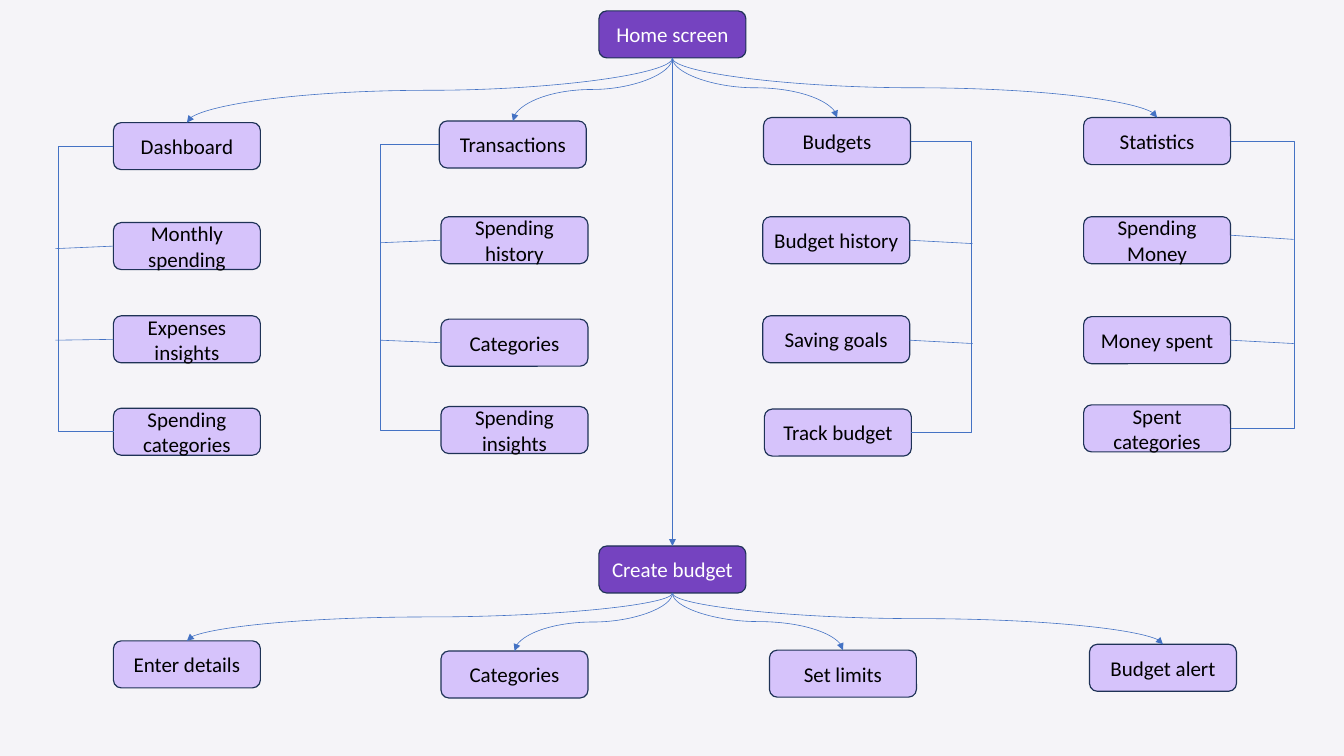
from lxml import etree
from pptx import Presentation, util as u
from pptx.dml.color import RGBColor
from pptx.enum import shapes, text
from pptx.oxml.ns import qn

COLUMNS, ROWS = 1600, 900
CELL = u.Inches(16) // COLUMNS
BOX_W, BOX_H = 175, 56

BACKDROP = RGBColor(0xF5, 0xF4, 0xF8)
PURPLE = RGBColor(0x75, 0x43, 0xC0)
LILAC = RGBColor(0xD6, 0xC3, 0xFB)
NAVY = RGBColor(0x1E, 0x32, 0x56)
BLUE = RGBColor(0x44, 0x72, 0xC4)
BLACK = RGBColor(0, 0, 0)
WHITE = RGBColor(255, 255, 255)

HOME = ("Home screen", 713, 13)
CREATE = ("Create budget", 713, 650)
# fmt: off
SECTIONS = [
    {"rail": 68, "rung_end": 66, "rungs": [(293, 296), (404, 405)],
     "boxes": [("Dashboard", 135, 146), ("Monthly spending", 135, 265),
               ("Expenses insights", 135, 376), ("Spending categories", 135, 486)]},
    {"rail": 452, "rung_end": 453, "rungs": [(286, 289), (408, 405)],
     "boxes": [("Transactions", 523, 144), ("Spending history", 525, 258),
               ("Categories", 525, 380), ("Spending insights", 525, 484)]},
    {"rail": 1158, "rung_end": 1158, "rungs": [(286, 290), (405, 409)],
     "boxes": [("Budgets", 909, 140), ("Budget history", 908, 258),
               ("Saving goals", 908, 376), ("Track budget", 910, 487)]},
    {"rail": 1542, "rung_end": 1540, "rungs": [(280, 285), (405, 409)],
     "boxes": [("Statistics", 1290, 140), ("Spending Money", 1290, 258),
               ("Money spent", 1290, 377), ("Spent categories", 1290, 482)]},
]
BUDGET_STEPS = [("Enter details", 135, 763), ("Categories", 525, 775),
                ("Set limits", 916, 774), ("Budget alert", 1297, 767)]


def add_box(slide, box, fill, ink):
    """Draw one rounded, labelled screen box."""
    label, left, top = box
    screen = slide.shapes.add_shape(shapes.MSO_SHAPE.ROUNDED_RECTANGLE,
                                    *(n * CELL for n in (left, top, BOX_W, BOX_H)))
    screen.shadow.inherit = False
    screen.fill.solid()
    screen.fill.fore_color.rgb = fill
    screen.line.color.rgb = NAVY
    screen.line.width = u.Pt(1)
    frame = screen.text_frame
    frame.word_wrap = True
    frame.vertical_anchor = text.MSO_ANCHOR.MIDDLE
    paragraph = frame.paragraphs[0]
    paragraph.text = label
    paragraph.alignment = text.PP_ALIGN.CENTER
    paragraph.font.size = u.Pt(18)
    paragraph.font.name = "Calibri"
    paragraph.font.color.rgb = ink


def add_link(slide, kind, start, end, arrow=False, bend=None):
    """Draw one thin blue connector between two grid points."""
    link = slide.shapes.add_connector(kind, *(round(n * CELL) for n in (*start, *end)))
    link.line.color.rgb = BLUE
    link.line.width = u.Pt(0.5)
    properties = link._element.spPr
    if arrow:
        etree.SubElement(properties.find(qn("a:ln")), qn("a:tailEnd"), type="triangle")
    etree.SubElement(properties, qn("a:effectLst"))
    if bend is not None:
        guides = properties.find(qn("a:prstGeom")).get_or_add_avLst()
        etree.SubElement(guides, qn("a:gd"), name="adj1", fmla=f"val {round(bend * 100000)}")
    return link


def add_curve(slide, start, end):
    """Draw a curved arrow that leaves and arrives vertically."""
    (x1, y1), (x2, y2) = start, end
    middle_x, middle_y = (x1 + x2) / 2, (y1 + y2) / 2
    half_w, half_h = (y2 - y1) / 2, abs(x2 - x1) / 2
    side = 1 if x2 > x1 else -1
    curve = add_link(slide, shapes.MSO_CONNECTOR.CURVE,
                     (middle_x + side * half_w, middle_y - half_h),
                     (middle_x - side * half_w, middle_y + half_h), arrow=True)
    turn = 270 if side > 0 else 90
    curve._element.spPr.find(qn("a:xfrm")).set("rot", str(turn * 60000))


def add_fan(slide, parent, children):
    """Draw curved arrows from a parent box to each child box."""
    for _, left, top in children:
        add_curve(slide, bottom_of(parent), (left + BOX_W / 2, top))


def bottom_of(box):
    """Return the middle of a box's lower edge."""
    return box[1] + BOX_W / 2, box[2] + BOX_H


def add_rail(slide, section):
    """Draw the bracket and rungs that tie a section together."""
    boxes, rail = section["boxes"], section["rail"]
    offset = BOX_W if rail > boxes[0][1] else 0
    x = boxes[0][1] + offset
    first, last = (box[2] + BOX_H / 2 for box in (boxes[0], boxes[-1]))
    add_link(slide, shapes.MSO_CONNECTOR.ELBOW, (x, first), (x + 1, last), bend=rail - x)
    for box, (start_y, end_y) in zip(boxes[1:], section["rungs"]):
        add_link(slide, shapes.MSO_CONNECTOR.STRAIGHT,
                 (box[1] + offset, start_y), (section["rung_end"], end_y))


def main():
    """Build the app map slide."""
    deck = Presentation()
    deck.slide_width, deck.slide_height = COLUMNS * CELL, ROWS * CELL
    slide = deck.slides.add_slide(deck.slide_layouts[6])
    slide.background.fill.solid()
    slide.background.fill.fore_color.rgb = BACKDROP
    for box in [box for section in SECTIONS for box in section["boxes"]] + BUDGET_STEPS:
        add_box(slide, box, LILAC, BLACK)
    for box in (CREATE, HOME):
        add_box(slide, box, PURPLE, WHITE)
    add_fan(slide, HOME, [section["boxes"][0] for section in SECTIONS])
    add_link(slide, shapes.MSO_CONNECTOR.STRAIGHT, bottom_of(HOME),
             (CREATE[1] + BOX_W / 2, CREATE[2]), arrow=True)
    for section in SECTIONS:
        add_rail(slide, section)
    add_fan(slide, CREATE, BUDGET_STEPS)
    deck.save("out.pptx")


if __name__ == "__main__":
    main()
